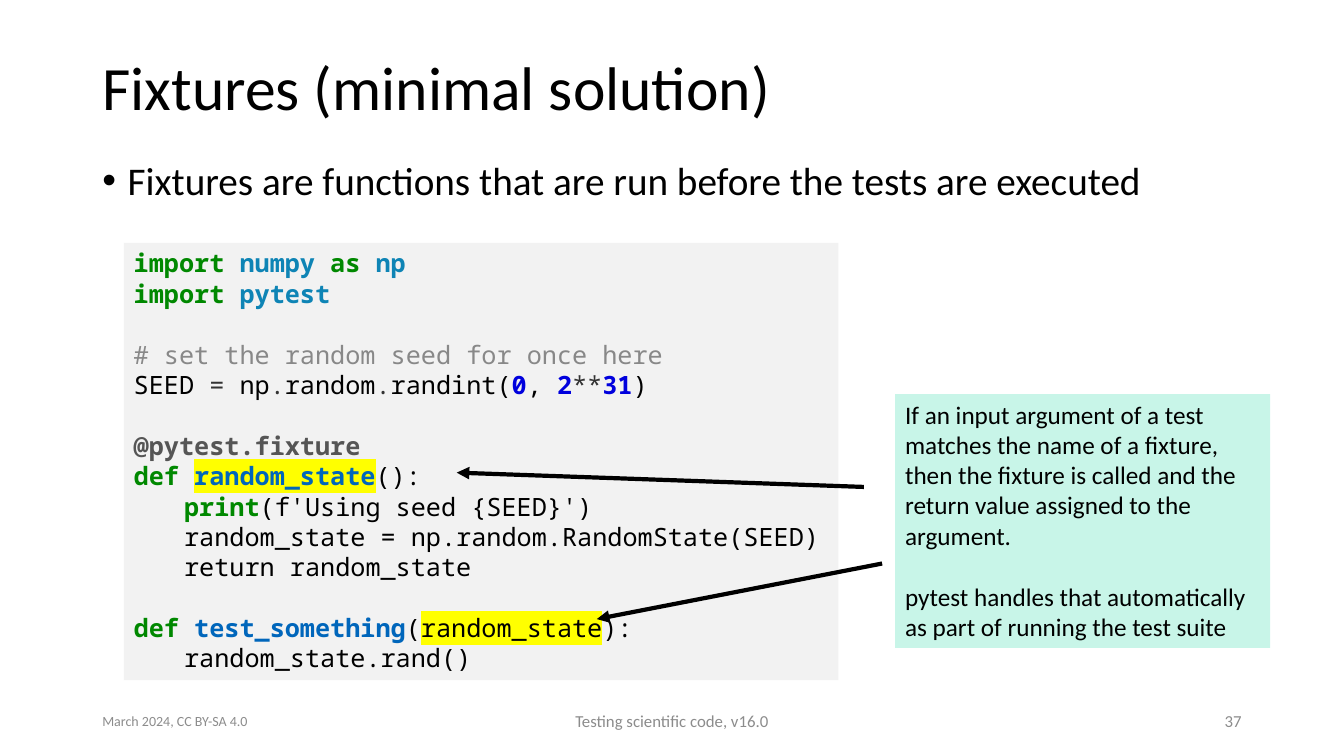
from pptx import Presentation
from pptx.dml.color import RGBColor
from pptx.enum.shapes import MSO_CONNECTOR, MSO_SHAPE
from pptx.enum.text import MSO_ANCHOR, PP_ALIGN
from pptx.oxml.ns import qn
from pptx.util import Cm, Pt
from lxml import etree

RECT, LINE = MSO_SHAPE.RECTANGLE, MSO_CONNECTOR.STRAIGHT
TOP, MIDDLE = MSO_ANCHOR.TOP, MSO_ANCHOR.MIDDLE
LEFT, CENTER, RIGHT = PP_ALIGN.LEFT, PP_ALIGN.CENTER, PP_ALIGN.RIGHT

# Content
TITLE = "Fixtures (minimal solution)"
POINT = "Fixtures are functions that are run before the tests are executed"
NOTE = [
    "If an input argument of a test matches the name of a fixture, then the "
    "fixture is called and the return value assigned to the argument.",
    "pytest handles that automatically as part of running the test suite",
]
# Blocks of code lines; each line is a list of (text, token kind)
CODE = [
    [
        [("import ", "key"), ("numpy ", "mod"), ("as ", "key"), ("np", "mod")],
        [("import ", "key"), ("pytest", "mod")],
    ],
    [
        [("# set the random seed for once here", "remark")],
        [("SEED ", "plain"), ("=", "sign"), (" np", "plain"), (".", "sign"),
         ("random", "plain"), (".", "sign"), ("randint(", "plain"),
         ("0", "num"), (", ", "plain"), ("2", "num"), ("**", "sign"),
         ("31", "num"), (")", "plain")],
    ],
    [
        [("@pytest.fixture", "deco")],
        [("def ", "key"), ("random_state", "name_lit"), ("():", "plain")],
        [("\tprint", "key"), ("(f'Using seed {SEED}')", "plain")],
        [("\trandom_state = np.random.RandomState(SEED)", "plain")],
        [("\treturn random_state", "plain")],
    ],
    [
        [("def ", "key"), ("test_something", "name"), ("(", "plain"),
         ("random_state", "plain_lit"), ("):", "plain")],
        [("\trandom_state.rand()", "plain")],
    ],
]
# Text, left, width, size, alignment
FOOTER = [
    ("March 2024, CC BY-SA 4.0", 2.33, 7.62, 10, LEFT),
    ("Testing scientific code, v16.0", 11.22, 11.43, 12, CENTER),
    ("37", 23.92, 7.62, 12, RIGHT),
]
# Start and end points, in cm
ARROWS = [((21.77, 12.27), (11.51, 11.91)), ((22.23, 14.2), (15.04, 15.6))]


class Theme:
    sans, mono = "Calibri", "Noto Sans Mono"
    ink, foot, panel, mint, glow = "000000", "8C8C8C", "F2F2F2", "C8F5E8", "FFFF00"
    title, point, text = 44, 28, 18
    gap = 22  # one empty line of text, in points
    # Token kind: colour, bold, highlighted
    token = {
        "key": ("008800", True, False),
        "mod": ("0E84B5", True, False),
        "remark": ("888888", False, False),
        "plain": (ink, False, False),
        "plain_lit": (ink, False, True),
        "sign": ("333333", False, False),
        "num": ("0000DD", True, False),
        "deco": ("555555", True, False),
        "name": ("0066BB", True, False),
        "name_lit": ("0066BB", True, True),
    }


def style(font, size, color=Theme.ink, face=Theme.sans, bold=False):
    font.size, font.name, font.bold = Pt(size), face, bold
    font.color.rgb = RGBColor.from_string(color)


def place(shape, left, top, width, height):
    shape.left, shape.top = Cm(left), Cm(top)
    shape.width, shape.height = Cm(width), Cm(height)


def add_box(slide, area, anchor=TOP):
    box = slide.shapes.add_textbox(*map(Cm, area))
    box.text_frame.word_wrap = True
    box.text_frame.vertical_anchor = anchor
    return box.text_frame


def add_panel(slide, area, color):
    panel = slide.shapes.add_shape(RECT, *map(Cm, area))
    panel.shadow.inherit = False
    panel.fill.solid()
    panel.fill.fore_color.rgb = RGBColor.from_string(color)
    panel.line.fill.background()
    panel.text_frame.word_wrap = True
    panel.text_frame.vertical_anchor = TOP
    return panel.text_frame


def next_para(frame, first):
    para = frame.paragraphs[0] if first else frame.add_paragraph()
    para.alignment = LEFT
    return para


def highlight(run):
    fill = run._r.get_or_add_rPr().find(qn("a:solidFill"))
    mark = etree.Element(qn("a:highlight"))
    etree.SubElement(mark, qn("a:srgbClr"), val=Theme.glow)
    fill.addnext(mark)


def add_tab(para, pos):
    tabs = etree.SubElement(para._p.get_or_add_pPr(), qn("a:tabLst"))
    etree.SubElement(tabs, qn("a:tab"), pos=str(pos), algn="l")


def add_title(slide):
    title = slide.shapes.title
    place(title, 2.33, 1.01, 29.21, 2.52)
    title.text_frame.text = TITLE
    title.text_frame.vertical_anchor = MIDDLE
    para = title.text_frame.paragraphs[0]
    para.alignment, para.line_spacing = LEFT, 0.9
    style(para.runs[0].font, Theme.title)


def add_point(slide):
    para = add_box(slide, (2.33, 3.94, 29.21, 13.23)).paragraphs[0]
    para.text = POINT
    props = para._p.get_or_add_pPr()
    props.set("marL", str(Cm(0.64)))
    props.set("indent", str(-Cm(0.64)))
    etree.SubElement(props, qn("a:buFont"), typeface="Arial")
    etree.SubElement(props, qn("a:buChar"), char="•")
    para.line_spacing = 0.9
    style(para.runs[0].font, Theme.point)


def add_code(slide):
    frame = add_panel(slide, (3.12, 6.12, 18.01, 11.02), Theme.panel)
    for b, block in enumerate(CODE):
        for n, line in enumerate(block):
            para = next_para(frame, b == n == 0)
            add_tab(para, Cm(1.27))
            if b and n == 0:
                para.space_before = Pt(Theme.gap)
            for text, kind in line:
                color, bold, lit = Theme.token[kind]
                run = para.add_run()
                run.text = text
                style(run.font, Theme.text, color, Theme.mono, bold)
                if lit:
                    highlight(run)


def add_note(slide):
    frame = add_panel(slide, (22.56, 9.93, 9.45, 6.4), Theme.mint)
    for n, text in enumerate(NOTE):
        para = next_para(frame, n == 0)
        para.text = text
        if n:
            para.space_before = Pt(Theme.gap)
        style(para.runs[0].font, Theme.text)


def add_arrow(slide, start, end):
    arrow = slide.shapes.add_connector(LINE, *map(Cm, start + end))
    arrow.line.width = Pt(3)
    arrow.line.color.rgb = RGBColor.from_string(Theme.ink)
    etree.SubElement(arrow.line._get_or_add_ln(), qn("a:tailEnd"), type="triangle")
    etree.SubElement(arrow._element.spPr, qn("a:effectLst"))


def add_footer(slide):
    for text, left, width, size, align in FOOTER:
        para = add_box(slide, (left, 17.65, width, 1.02), MIDDLE).paragraphs[0]
        para.text, para.alignment = text, align
        style(para.runs[0].font, size, Theme.foot)


def main():
    deck = Presentation()
    deck.slide_width, deck.slide_height = Cm(33.87), Cm(19.05)
    slide = deck.slides.add_slide(deck.slide_layouts[5])
    add_title(slide)
    add_point(slide)
    add_footer(slide)
    add_code(slide)
    add_note(slide)
    for start, end in ARROWS:
        add_arrow(slide, start, end)
    deck.save("out.pptx")


if __name__ == "__main__":
    main()
